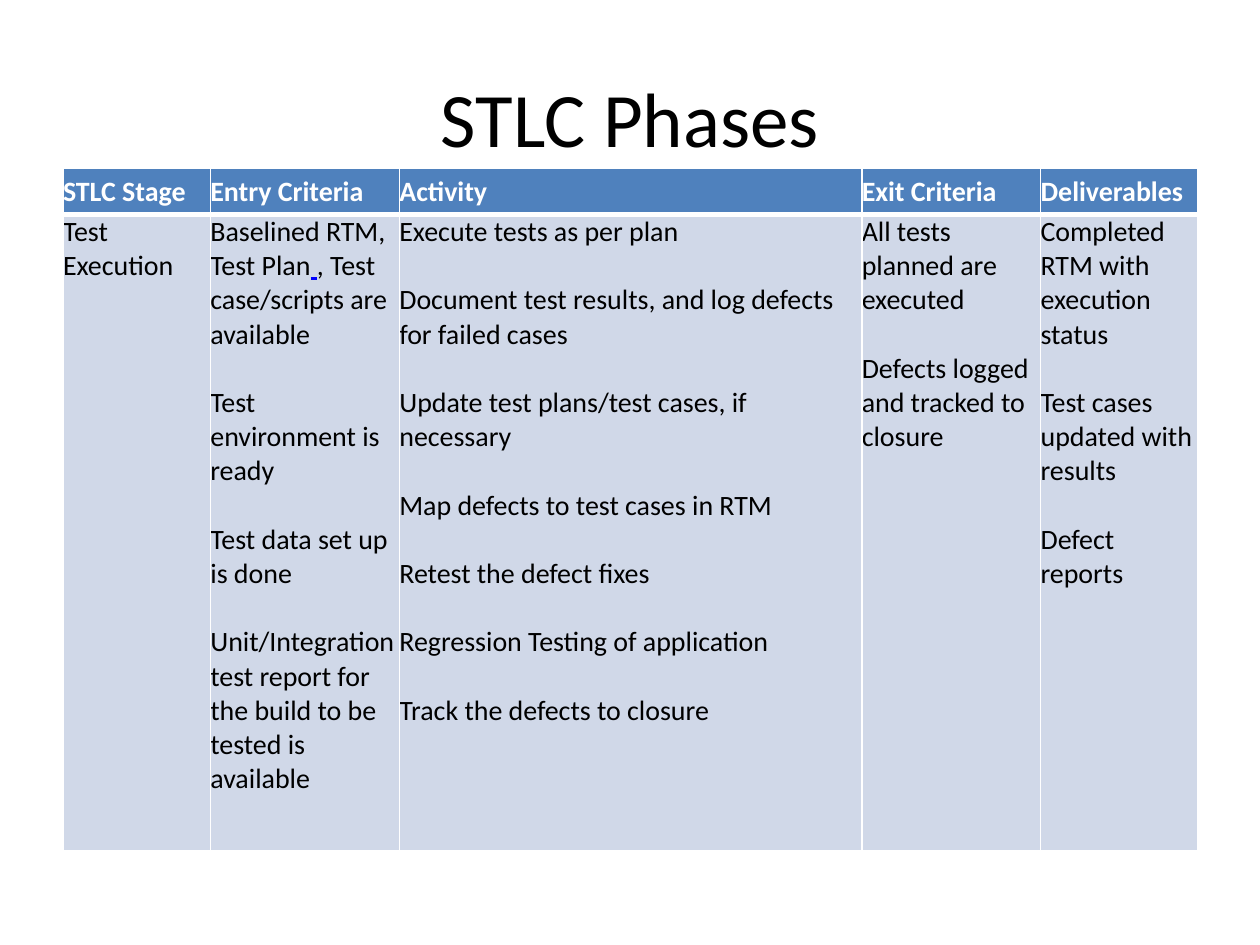
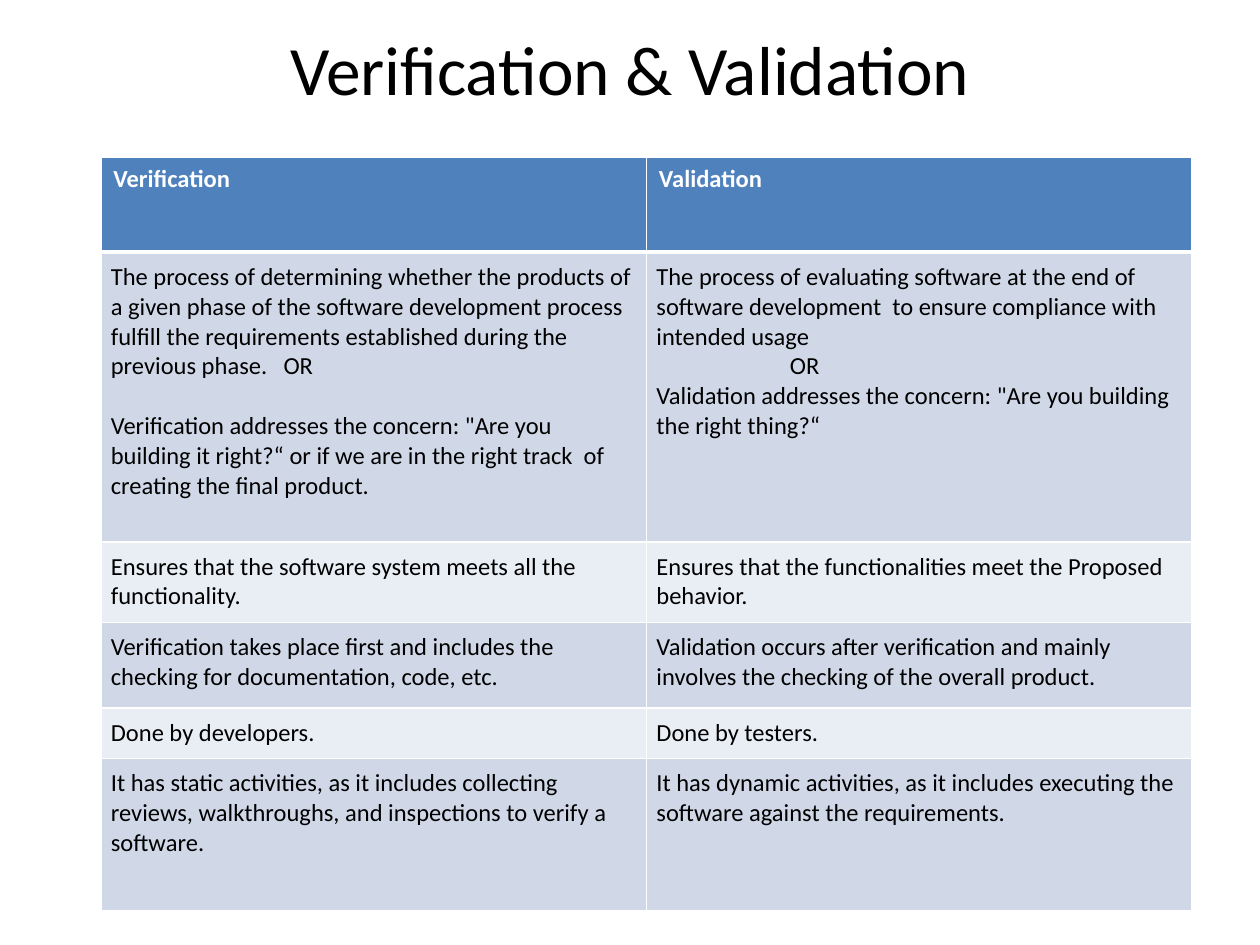
from lxml import etree
from pptx import Presentation
from pptx.dml.color import RGBColor
from pptx.enum.text import MSO_ANCHOR, PP_ALIGN
from pptx.oxml.ns import qn
from pptx.util import Emu, Inches, Pt

MIDDLE, TOP = MSO_ANCHOR.MIDDLE, MSO_ANCHOR.TOP
CENTER = PP_ALIGN.CENTER
FONT = "Calibri"
LINE_SPACING = 1.22
COLORS = {
    "ink": "000000",
    "paper": "FFFFFF",
    "header": "4F81BD",
    "odd": "D0D8E8",
    "even": "E9EDF4",
    "link": "0000FF",
}
LAYOUTS = {
    "plain": {},
    "spaced": {"gap": 1},
    "indented": {"margin": 1.06},
    "tabbed": {"tab": 1.37},
}

deck = Presentation()
deck.slide_width, deck.slide_height = Inches(10), Inches(7.5)
WIDTH, HEIGHT = deck.slide_width, deck.slide_height


def add_run(paragraph, text, size, color, bold=False):
    run = paragraph.add_run()
    run.text = text
    run.font.name = FONT
    run.font.size = Pt(size)
    run.font.bold = bold
    run.font.color.rgb = RGBColor.from_string(COLORS[color])
    run.font.underline = color == "link"


def add_border(cell, side, points):
    line = etree.SubElement(cell._tc.get_or_add_tcPr(), qn("a:ln" + side), w=str(Pt(points)))
    fill = etree.SubElement(line, qn("a:solidFill"))
    etree.SubElement(fill, qn("a:srgbClr"), val=COLORS["paper"])


baseline_runs = [
    ("Baselined RTM,", "ink"),
    (" ", "link"),
    ("Test Plan", "ink"),
    (" ", "link"),
    (", Test case/scripts are available", "ink"),
]

phases = [
    [
        [("STLC Stage", "plain")],
        [("Entry Criteria", "plain")],
        [("Activity", "plain")],
        [("Exit Criteria", "plain")],
        [("Deliverables", "plain")],
    ],
    [
        [("Test Execution", "plain")],
        [
            (baseline_runs, "plain"),
            ("Test environment is ready", "spaced"),
            ("Test data set up is done", "spaced"),
            ("Unit/Integration test report for the build to be tested is available", "spaced"),
        ],
        [
            ("Execute tests as per plan", "plain"),
            ("Document test results, and log defects for failed cases", "spaced"),
            ("Update test plans/test cases, if necessary", "spaced"),
            ("Map defects to test cases in RTM", "spaced"),
            ("Retest the defect fixes", "spaced"),
            ("Regression Testing of application", "spaced"),
            ("Track the defects to closure", "spaced"),
        ],
        [
            ("All tests planned are executed", "plain"),
            ("Defects logged and tracked to closure", "spaced"),
        ],
        [
            ("Completed RTM with execution status", "plain"),
            ("Test cases updated with results", "spaced"),
            ("Defect reports", "spaced"),
        ],
    ],
]

comparison = [
    [[("Verification", "plain")], [("Validation", "plain")]],
    [
        [
            ("The process of determining whether the products of a given phase of the software "
             "development process fulfill the requirements established during the previous "
             "phase.\tOR", "tabbed"),
            ("Verification addresses the concern: \"Are you building it right?“ or if we are in "
             "the right track  of creating the final product.", "spaced"),
        ],
        [
            ("The process of evaluating software at the end of software development  to ensure "
             "compliance with intended usage", "plain"),
            ("OR", "indented"),
            ("Validation addresses the concern: \"Are you building the right thing?“", "plain"),
        ],
    ],
    [
        [("Ensures that the software system meets all the functionality.", "plain")],
        [("Ensures that the functionalities meet the Proposed behavior.", "plain")],
    ],
    [
        [("Verification takes place first and includes the checking for documentation, code, "
          "etc.", "plain")],
        [("Validation occurs after verification and mainly involves the checking of the overall "
          "product.", "plain")],
    ],
    [[("Done by developers.", "plain")], [("Done by testers.", "plain")]],
    [
        [("It has static activities, as it includes collecting reviews, walkthroughs, and "
          "inspections to verify a software.", "plain")],
        [("It has dynamic activities, as it includes executing the software against the "
          "requirements.", "plain")],
    ],
]

pages = [
    {
        "title": "STLC Phases", "title_size": 44, "title_top": 0.04, "title_foot": 0.05,
        "left": 0.05, "top": 0.178, "text_size": 16, "content": phases,
        "columns": [1.17, 1.5, 3.67, 1.42, 1.25], "rows": [0.37, 5.05],
        "header_insets": (0, 0), "body_insets": (0, 0), "header_anchor": MIDDLE,
    },
    {
        "title": "Verification & Validation", "title_size": 39.6, "title_top": 1 / 30,
        "title_foot": 0.72,
        "left": 0.08, "top": 1 / 6, "text_size": 14, "content": comparison,
        "columns": [4.33, 4.33], "rows": [0.75, 2.3, 0.64, 0.68, 0.4, 1.21],
        "header_insets": (0.1, 0.05), "body_insets": (0.08, 0.08), "header_anchor": TOP,
    },
]

for page in pages:
    slide = deck.slides.add_slide(deck.slide_layouts[6])

    heading = slide.shapes.add_textbox(
        Emu(int(WIDTH * 0.05)), Emu(int(HEIGHT * page["title_top"])),
        Emu(int(WIDTH * 0.9)), Emu(int(HEIGHT / 6))).text_frame
    heading.word_wrap = True
    heading.vertical_anchor = MIDDLE
    heading.margin_bottom = Inches(page["title_foot"])
    heading.paragraphs[0].alignment = CENTER
    add_run(heading.paragraphs[0], page["title"], page["title_size"], "ink")

    size = page["text_size"]
    grid = slide.shapes.add_table(
        len(page["rows"]), len(page["columns"]),
        Emu(int(WIDTH * page["left"])), Emu(int(HEIGHT * page["top"])),
        Inches(sum(page["columns"])), Inches(sum(page["rows"]))).table
    for column, width in zip(grid.columns, page["columns"]):
        column.width = Inches(width)
    for row, height in zip(grid.rows, page["rows"]):
        row.height = Inches(height)

    for row_index, entries in enumerate(page["content"]):
        is_header = row_index == 0
        text_color = "paper" if is_header else "ink"
        band = "header" if is_header else ("even", "odd")[row_index % 2]
        side_inset, end_inset = page["header_insets" if is_header else "body_insets"]
        for column_index, paragraphs in enumerate(entries):
            cell = grid.cell(row_index, column_index)
            cell.margin_left = cell.margin_right = Inches(side_inset)
            cell.margin_top = cell.margin_bottom = Inches(end_inset)
            cell.vertical_anchor = page["header_anchor"] if is_header else TOP
            for side in "LRTB":
                under_header = (row_index, side) in ((0, "B"), (1, "T"))
                add_border(cell, side, 3 if under_header else 1)
            cell.fill.solid()
            cell.fill.fore_color.rgb = RGBColor.from_string(COLORS[band])

            for position, (text, style) in enumerate(paragraphs):
                frame = cell.text_frame
                paragraph = frame.add_paragraph() if position else frame.paragraphs[0]
                layout = LAYOUTS[style]
                if "gap" in layout:
                    paragraph.space_before = Pt(round(size * LINE_SPACING * layout["gap"], 1))
                if "margin" in layout:
                    paragraph._p.get_or_add_pPr().set("marL", str(Inches(layout["margin"])))
                if "tab" in layout:
                    stops = etree.SubElement(paragraph._p.get_or_add_pPr(), qn("a:tabLst"))
                    etree.SubElement(stops, qn("a:tab"), pos=str(Inches(layout["tab"])), algn="l")
                runs = [(text, text_color)] if isinstance(text, str) else text
                for words, color in runs:
                    add_run(paragraph, words, size, color, is_header)

deck.save("out.pptx")
